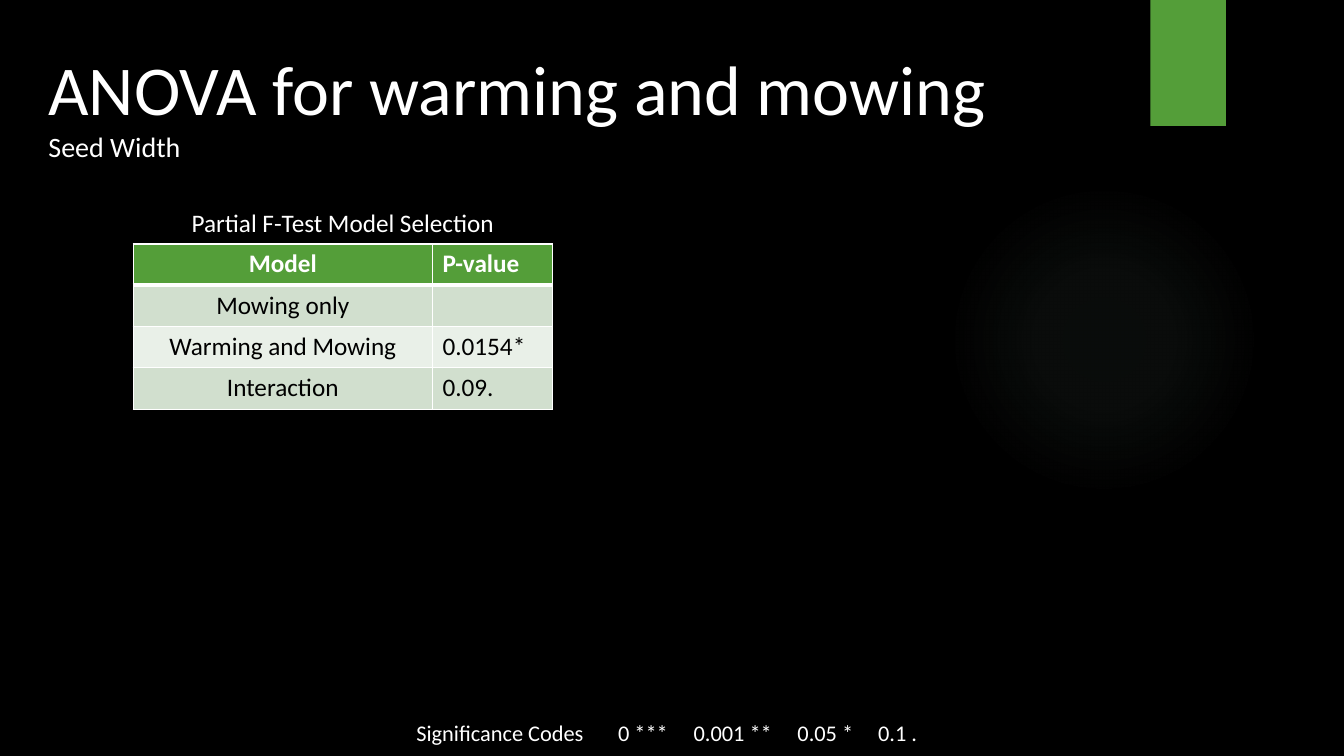
from dataclasses import dataclass

import pptx
import pptx.dml.color
import pptx.enum.shapes
import pptx.enum.text
import pptx.oxml
import pptx.oxml.ns
import pptx.util
from pptx.util import Inches

NS = pptx.oxml.ns.nsdecls("a")
ALIGN = pptx.enum.text.PP_ALIGN
SHAPE = pptx.enum.shapes.MSO_SHAPE


@dataclass(frozen=True)
class Theme:
    font: str = "Calibri"
    background: str = "000000"
    light: str = "FFFFFF"
    dark: str = "000000"
    accent: str = "549E39"
    glow: str = "87A896"
    bands: tuple = ("D1DFCE", "E9F0E8")
    title_size: int = 50
    subtitle_size: int = 20
    table_size: int = 18
    codes_size: int = 16


THEME = Theme()


def rgb(value):
    return pptx.dml.color.RGBColor.from_string(value)


def style(font, size, color, bold=False):
    font.name = THEME.font
    font.size = pptx.util.Pt(size)
    font.color.rgb = rgb(color)
    font.bold = bold


def add_decoration(slide, left, top, width, height, kind):
    decoration = slide.shapes.add_shape(kind, left, top, width, height)
    decoration.shadow.inherit = False
    decoration.line.fill.background()
    return decoration


def add_glow(slide, *box):
    """Soft circle that fades out towards its edge."""
    glow = add_decoration(slide, *box, SHAPE.OVAL)
    glow.fill.background()
    stops = "".join(
        f'<a:gs pos="{position * 1000}"><a:srgbClr val="{THEME.glow}">'
        f'<a:alpha val="{alpha * 1000}"/></a:srgbClr></a:gs>'
        for position, alpha in ((0, 7), (36, 6), (69, 0)))
    gradient = pptx.oxml.parse_xml(
        f'<a:gradFill {NS}><a:gsLst>{stops}</a:gsLst><a:path path="circle">'
        '<a:fillToRect l="50000" t="50000" r="50000" b="50000"/></a:path></a:gradFill>')
    properties = glow.element.spPr
    properties.replace(properties.find(pptx.oxml.ns.qn("a:noFill")), gradient)


def add_tab(slide, *box):
    tab = add_decoration(slide, *box, SHAPE.RECTANGLE)
    tab.fill.solid()
    tab.fill.fore_color.rgb = rgb(THEME.accent)


def add_heading(slide, left, top, width, height, title, subtitle):
    heading = slide.shapes.title
    heading.left, heading.top, heading.width, heading.height = left, top, width, height
    frame = heading.text_frame
    frame.text = f"{title}\v{subtitle}"
    frame.auto_size = pptx.enum.text.MSO_AUTO_SIZE.NONE
    frame.vertical_anchor = pptx.enum.text.MSO_ANCHOR.TOP
    line = frame.paragraphs[0]
    line.alignment = ALIGN.LEFT
    for run, size in zip(line.runs, (THEME.title_size, THEME.subtitle_size)):
        style(run.font, size, THEME.light)


def add_label(slide, left, top, width, height, text, size, alignment):
    label = slide.shapes.add_textbox(left, top, width, height)
    label.text_frame.word_wrap = True
    label.text_frame.text = text
    line = label.text_frame.paragraphs[0]
    line.alignment = alignment
    style(line.runs[0].font, size, THEME.light)
    return label


def add_borders(cell, bottom):
    properties = cell._tc.get_or_add_tcPr()
    widths = (("lnL", 1), ("lnR", 1), ("lnT", 1), ("lnB", bottom))
    for index, (side, points) in enumerate(widths):
        properties.insert(index, pptx.oxml.parse_xml(
            f'<a:{side} {NS} w="{pptx.util.Pt(points)}"><a:solidFill>'
            f'<a:srgbClr val="{THEME.light}"/></a:solidFill></a:{side}>'))


def add_model_table(slide, left, top, width, row_height, caption, rows):
    """Captioned table: the caption sits directly above the header row."""
    caption_height = Inches(0.41)
    add_label(slide, left, top, width, caption_height, caption,
              THEME.table_size, ALIGN.CENTER)
    models = slide.shapes.add_table(len(rows), 2, left, top + caption_height,
                                    width, row_height * len(rows)).table
    models.horz_banding = False
    value_width = Inches(1.19)
    models.columns[0].width = width - value_width
    models.columns[1].width = value_width
    for r, row in enumerate(rows):
        header = r == 0
        models.rows[r].height = row_height
        for c, text in enumerate(row):
            cell = models.cell(r, c)
            cell.fill.solid()
            cell.fill.fore_color.rgb = rgb(
                THEME.accent if header else THEME.bands[(r - 1) % 2])
            add_borders(cell, 3 if header else 1)
            cell.text = text
            line = cell.text_frame.paragraphs[0]
            line.alignment = ALIGN.LEFT if c else ALIGN.CENTER
            style(line.font, THEME.table_size, THEME.light if header else THEME.dark, header)
            for run in line.runs:
                style(run.font, THEME.table_size,
                      THEME.light if header else THEME.dark, header)


def add_significance_codes(slide, left, top, width, height, heading, codes):
    """Legend line whose codes stand at tab stops."""
    legend = add_label(slide, left, top, width, height, "\t".join((heading, *codes)),
                       THEME.codes_size, ALIGN.LEFT)
    legend.text_frame.margin_left = Inches(4.13)
    stops = "".join(f'<a:tab pos="{Inches(stop)}" algn="l"/>'
                    for stop in (2, 2.75, 3.78, 4.58))
    line = legend.text_frame.paragraphs[0]
    line._p.get_or_add_pPr().append(
        pptx.oxml.parse_xml(f"<a:tabLst {NS}>{stops}</a:tabLst>"))


def main():
    deck = pptx.Presentation()
    deck.slide_width, deck.slide_height = Inches(13.33), Inches(7.5)
    slide = deck.slides.add_slide(deck.slide_layouts[5])
    slide.background.fill.solid()
    slide.background.fill.fore_color.rgb = rgb(THEME.background)

    add_glow(slide, Inches(9.41), Inches(1.83), Inches(3.08), Inches(3.08))
    add_tab(slide, Inches(11.41), 0, Inches(0.75), Inches(1.25))
    add_significance_codes(
        slide, 0, Inches(7.09), deck.slide_width, Inches(0.37),
        "Significance Codes", ("0 ***", "0.001 **", "0.05 *", "0.1 ."))
    add_model_table(
        slide, Inches(1.32), Inches(2.01), Inches(4.16), Inches(0.41),
        "Partial F-Test Model Selection",
        (("Model", "P-value"),
         ("Mowing only", ""),
         ("Warming and Mowing", "0.0154*"),
         ("Interaction", "0.09.")))
    add_heading(slide, Inches(0.38), Inches(0.4), Inches(9.85), Inches(1.28),
                "ANOVA for warming and mowing", "Seed Width")
    deck.save("out.pptx")


if __name__ == "__main__":
    main()
